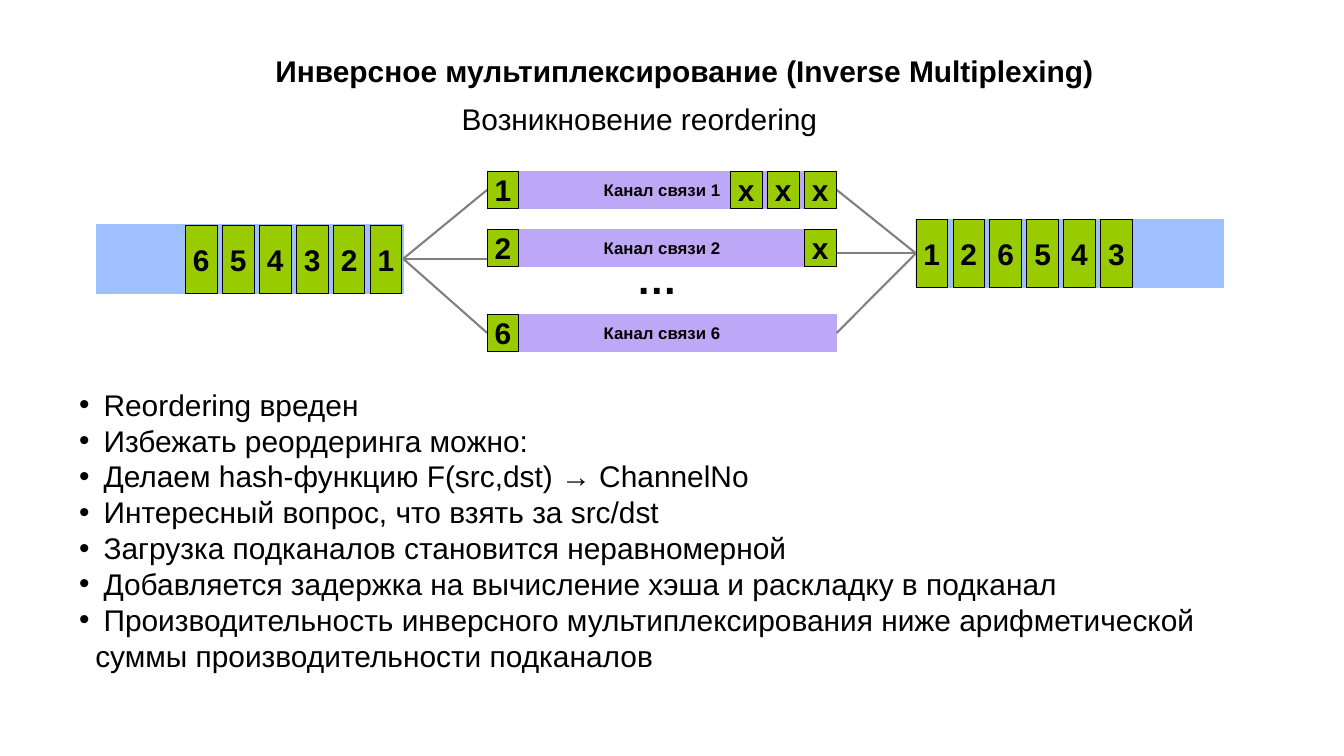
import pptx
import pptx.util
from dataclasses import dataclass
from lxml import etree
from pptx.dml.color import RGBColor
from pptx.enum.shapes import MSO_CONNECTOR, MSO_SHAPE
from pptx.enum.text import MSO_ANCHOR, MSO_AUTO_SIZE, PP_ALIGN
from pptx.oxml.ns import qn
from pptx.util import Inches


@dataclass(frozen=True)
class Theme:
    font: str = "Arial"
    text: str = "000000"
    stream: str = "A0BFFE"
    channel: str = "BCA8F6"
    packet: str = "99CC00"
    packet_edge: str = "000000"
    link: str = "808080"
    body_size: int = 32
    channel_size: int = 18
    ellipsis_size: int = 44
    edge_width: float = 0.75
    link_width: float = 2.25


THEME = Theme()

PACKET_WIDTH = 0.47
PACKET_STEP = 0.55
STREAM_WIDTH = 4.57
STREAM_HEIGHT = 1.02
CHANNEL_LEFT = 7.25
CHANNEL_WIDTH = 5.2
CHANNEL_HEIGHT = 0.55
LAST_DELAYED_LEFT = 11.97

TOP, LEFT, BOTTOM, RIGHT = range(4)

CHANNELS = [
    ("1", 2.55, "xxx"),
    ("2", 3.41, "x"),
    ("6", 4.68, ""),
]

CONCLUSIONS = [
    "Reordering вреден",
    "Избежать реордеринга можно:",
    "Делаем hash-функцию F(src,dst) → ChannelNo",
    "Интересный вопрос, что взять за src/dst",
    "Загрузка подканалов становится неравномерной",
    "Добавляется задержка на вычисление хэша и раскладку в подканал",
    "Производительность инверсного мультиплексирования ниже арифметической "
    "суммы производительности подканалов",
]


def rgb(code):
    return RGBColor.from_string(code)


def add_run(paragraph, words, size, bold=False):
    run = paragraph.add_run()
    run.text = words
    run.font.name = THEME.font
    run.font.size = pptx.util.Pt(size)
    run.font.bold = bold
    run.font.color.rgb = rgb(THEME.text)


def add_caption(slide, words, left, top, width, height, size, bold=False):
    caption = slide.shapes.add_textbox(
        Inches(left), Inches(top), Inches(width), Inches(height))
    frame = caption.text_frame
    frame.word_wrap = False
    frame.auto_size = MSO_AUTO_SIZE.SHAPE_TO_FIT_TEXT
    add_run(frame.paragraphs[0], words, size, bold)


def add_bar(slide, left, top, width, height, fill, edge, label="", size=THEME.body_size):
    bar = slide.shapes.add_shape(
        MSO_SHAPE.RECTANGLE,
        Inches(left), Inches(top), Inches(width), Inches(height))
    bar.shadow.inherit = False
    bar.fill.solid()
    bar.fill.fore_color.rgb = rgb(fill)
    bar.line.color.rgb = rgb(edge)
    bar.line.width = pptx.util.Pt(THEME.edge_width)
    if label:
        frame = bar.text_frame
        frame.word_wrap = False
        frame.vertical_anchor = MSO_ANCHOR.MIDDLE
        frame.paragraphs[0].alignment = PP_ALIGN.CENTER
        add_run(frame.paragraphs[0], label, size, bold=True)
    return bar


def add_stream(slide, left, top):
    return add_bar(slide, left, top, STREAM_WIDTH, STREAM_HEIGHT,
                   THEME.stream, THEME.stream)


def add_channel(slide, number, top):
    return add_bar(slide, CHANNEL_LEFT, top, CHANNEL_WIDTH, CHANNEL_HEIGHT,
                   THEME.channel, THEME.channel,
                   f"Канал связи {number}", THEME.channel_size)


def add_packets(slide, labels, left, top, height):
    for position, label in enumerate(labels):
        add_bar(slide, left + position * PACKET_STEP, top, PACKET_WIDTH, height,
                THEME.packet, THEME.packet_edge, label)


def add_link(slide, stream, stream_side, channel, channel_side, level):
    stream_x = stream.left + (stream.width if stream_side == RIGHT else 0)
    channel_x = channel.left + (channel.width if channel_side == RIGHT else 0)
    stream_y = stream.top + stream.height // 2
    link = slide.shapes.add_connector(
        MSO_CONNECTOR.STRAIGHT, stream_x, stream_y, channel_x, stream_y)
    link.begin_connect(stream, stream_side)
    if not level:
        link.end_connect(channel, channel_side)
    link.line.color.rgb = rgb(THEME.link)
    link.line.width = pptx.util.Pt(THEME.link_width)
    etree.SubElement(link._element.spPr, qn("a:effectLst"))


def add_conclusions(slide):
    box = slide.shapes.add_textbox(
        Inches(1.08), Inches(5.7), Inches(17.43), Inches(4.37))
    frame = box.text_frame
    frame.word_wrap = True
    frame.auto_size = MSO_AUTO_SIZE.SHAPE_TO_FIT_TEXT
    hanging = Inches(0.24)
    for position, conclusion in enumerate(CONCLUSIONS):
        paragraph = frame.add_paragraph() if position else frame.paragraphs[0]
        properties = paragraph._p.get_or_add_pPr()
        properties.set("marL", str(hanging))
        properties.set("indent", str(-hanging))
        bullet_color = etree.SubElement(properties, qn("a:buClr"))
        etree.SubElement(bullet_color, qn("a:srgbClr"), val=THEME.text)
        etree.SubElement(properties, qn("a:buFont"), typeface=THEME.font)
        etree.SubElement(properties, qn("a:buChar"), char="•")
        add_run(paragraph, f" {conclusion}", THEME.body_size)


def add_diagram(slide):
    sender = add_stream(slide, 1.43, 3.34)
    receiver = add_stream(slide, 13.63, 3.26)
    for number, top, delayed in CHANNELS:
        channel = add_channel(slide, number, top)
        level = number == "2"
        add_link(slide, sender, RIGHT, channel, LEFT, level)
        add_link(slide, receiver, LEFT, channel, RIGHT, level)
        add_packets(slide, number, CHANNEL_LEFT, top, CHANNEL_HEIGHT)
        delayed_left = LAST_DELAYED_LEFT - (len(delayed) - 1) * PACKET_STEP
        add_packets(slide, delayed, delayed_left, top, CHANNEL_HEIGHT)
    add_caption(slide, "…", 9.37, 3.73, 0.81, 0.84, THEME.ellipsis_size, bold=True)
    add_packets(slide, "654321", 2.76, 3.35, STREAM_HEIGHT)
    add_packets(slide, "126543", 13.63, 3.26, STREAM_HEIGHT)


def main():
    presentation = pptx.Presentation()
    presentation.slide_width = Inches(20)
    presentation.slide_height = Inches(11.25)
    slide = presentation.slides.add_slide(presentation.slide_layouts[6])
    add_caption(slide, "Инверсное мультиплексирование (Inverse Multiplexing)",
                4, 0.74, 12.46, 0.64, THEME.body_size, bold=True)
    add_caption(slide, "Возникновение reordering",
                6.77, 1.45, 5.51, 0.64, THEME.body_size)
    add_diagram(slide)
    add_conclusions(slide)
    presentation.save("out.pptx")


if __name__ == "__main__":
    main()
